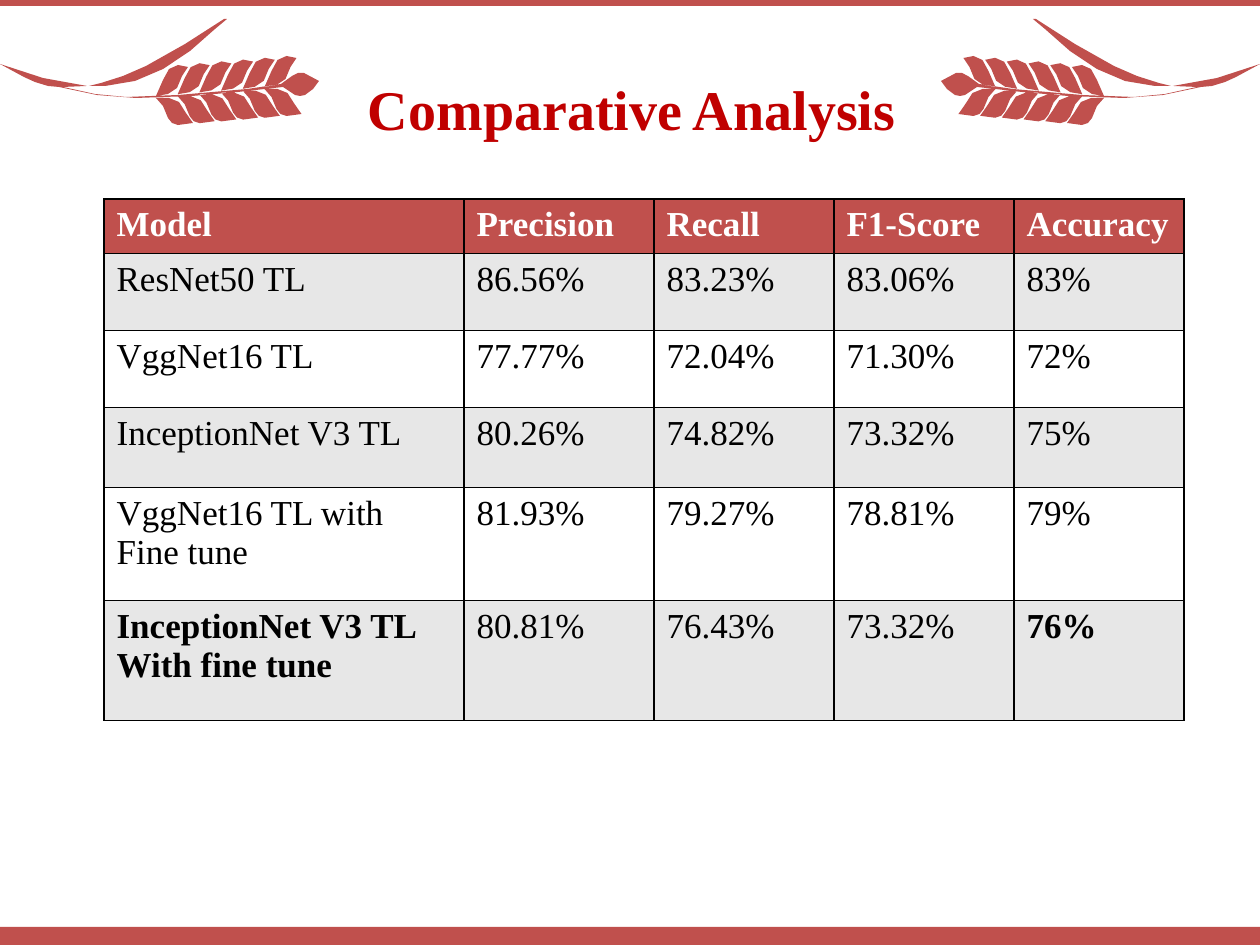
from lxml.etree import SubElement
from pptx import Presentation
from pptx.dml.color import RGBColor
from pptx.enum.shapes import MSO_SHAPE
from pptx.enum.text import MSO_ANCHOR, PP_ALIGN
from pptx.oxml.ns import qn
from pptx.util import Emu, Pt

PX = 914400 / 126
SLIDE_W, SLIDE_H = 1260, 945
FONT = "Times New Roman"
RED = RGBColor(0xC0, 0x50, 0x4D)
TITLE_RED = RGBColor(0xC0, 0x00, 0x00)
GREY = RGBColor(0xE7, 0xE7, 0xE7)
WHITE = RGBColor(0xFF, 0xFF, 0xFF)
BLACK = RGBColor(0x00, 0x00, 0x00)

COL_WIDTHS = [360, 190, 180, 180, 170]
ROW_HEIGHTS = [51, 77, 77, 80, 113, 120]
ROWS = [
    ["Model", "Precision", "Recall", "F1-Score", "Accuracy"],
    ["ResNet50 TL", "86.56%", "83.23%", "83.06%", "83%"],
    ["VggNet16 TL", "77.77%", "72.04%", "71.30%", "72%"],
    ["InceptionNet V3 TL", "80.26%", "74.82%", "73.32%", "75%"],
    ["VggNet16 TL with Fine tune", "81.93%", "79.27%", "78.81%", "79%"],
    ["InceptionNet V3 TL\nWith fine tune", "80.81%", "76.43%", "73.32%", "76%"],
]
BOLD_RESULTS = {(5, 0), (5, 4)}

# Outlines of the wheat ear at the left, in px.
STEM = [
    (281, 84), (292, 76), (298, 73), (304, 73), (319, 81), (313, 89), (305, 95),
    (300, 96), (295, 95), (283, 87), (238, 92), (192, 96), (136, 98), (97, 95),
    (59, 87), (48, 86), (35, 82), (24, 77), (0, 64), (43, 78), (87, 86),
    (63, 87), (95, 94), (126, 97), (178, 95), (247, 89),
]
RIBBON = [
    (227, 19), (215, 29), (190, 51), (163, 69), (135, 81), (105, 86),
    (89, 86), (101, 83), (123, 76), (146, 66), (185, 44), (224, 19),
]
UPPER_LEAF = [
    (156, 96), (163, 80), (169, 69), (178, 65),
    (188, 67), (182, 76), (177, 88), (168, 94),
]
LOWER_LEAF = [
    (156, 98), (169, 98), (179, 102), (186, 113),
    (193, 123), (178, 125), (172, 123), (168, 118), (163, 106),
]
LEAF_PAIRS = 6
LEAF_STEP = (21.7, -1.8)


def px(n):
    return Emu(round(n * PX))


def wheat_outlines():
    dx, dy = LEAF_STEP
    leaves = [[(x + i * dx, y + i * dy) for x, y in leaf]
              for leaf in (UPPER_LEAF, LOWER_LEAF) for i in range(LEAF_PAIRS)]
    return [RIBBON, STEM] + leaves


def paint(s, color):
    s.shadow.inherit = False
    s.fill.solid()
    s.fill.fore_color.rgb = color
    s.line.fill.background()


def add_wheat(slide, mirrored):
    builder = None
    for outline in wheat_outlines():
        points = [(px(SLIDE_W - x if mirrored else x), px(y)) for x, y in outline]
        if builder is None:
            builder = slide.shapes.build_freeform(*points[0])
        else:
            builder.move_to(*points[0])
        builder.add_line_segments(points[1:], close=True)
    paint(builder.convert_to_shape(), RED)


def add_bar(slide, top, height):
    s = slide.shapes.add_shape(MSO_SHAPE.RECTANGLE, 0, px(top), px(SLIDE_W), px(height))
    paint(s, RED)


def set_font(p, size, color, bold):
    values = {"name": FONT, "size": Pt(size), "bold": bold}
    for r in p.runs:
        for name, value in values.items():
            setattr(r.font, name, value)
        r.font.color.rgb = color


def add_title(slide, text):
    tf = slide.shapes.add_textbox(px(34), px(47), px(1196), px(100)).text_frame
    values = {"word_wrap": True, "vertical_anchor": MSO_ANCHOR.MIDDLE,
              "margin_top": px(22), "margin_bottom": 0}
    for name, value in values.items():
        setattr(tf, name, value)
    p = tf.paragraphs[0]
    p.text = text
    p.alignment = PP_ALIGN.CENTER
    set_font(p, 32, TITLE_RED, True)


def set_borders(cell):
    tc_pr = cell._tc.get_or_add_tcPr()
    for side in ("a:lnL", "a:lnR", "a:lnT", "a:lnB"):
        ln = SubElement(tc_pr, qn(side), w=str(int(Pt(1))))
        SubElement(SubElement(ln, qn("a:solidFill")), qn("a:srgbClr"), val=str(BLACK))


def add_results_table(slide):
    table = slide.shapes.add_table(len(ROWS), len(COL_WIDTHS), px(104), px(199),
                                   px(sum(COL_WIDTHS)), px(sum(ROW_HEIGHTS))).table
    table.horz_banding = False
    for column, width in zip(table.columns, COL_WIDTHS):
        column.width = px(width)
    for i, (row, height) in enumerate(zip(table.rows, ROW_HEIGHTS)):
        row.height = px(height)
        header = i == 0
        for j, cell in enumerate(row.cells):
            set_borders(cell)
            cell.fill.solid()
            cell.fill.fore_color.rgb = RED if header else GREY if i % 2 else WHITE
            cell.text = ROWS[i][j]
            for p in cell.text_frame.paragraphs:
                set_font(p, 20, WHITE if header else BLACK,
                         header or (i, j) in BOLD_RESULTS)


def main():
    prs = Presentation()
    prs.slide_width, prs.slide_height = px(SLIDE_W), px(SLIDE_H)
    slide = prs.slides.add_slide(prs.slide_layouts[6])
    for mirrored in (False, True):
        add_wheat(slide, mirrored)
    add_bar(slide, 927, 18)
    add_bar(slide, 0, 6)
    add_title(slide, "Comparative Analysis")
    add_results_table(slide)
    prs.save("out.pptx")


if __name__ == "__main__":
    main()
